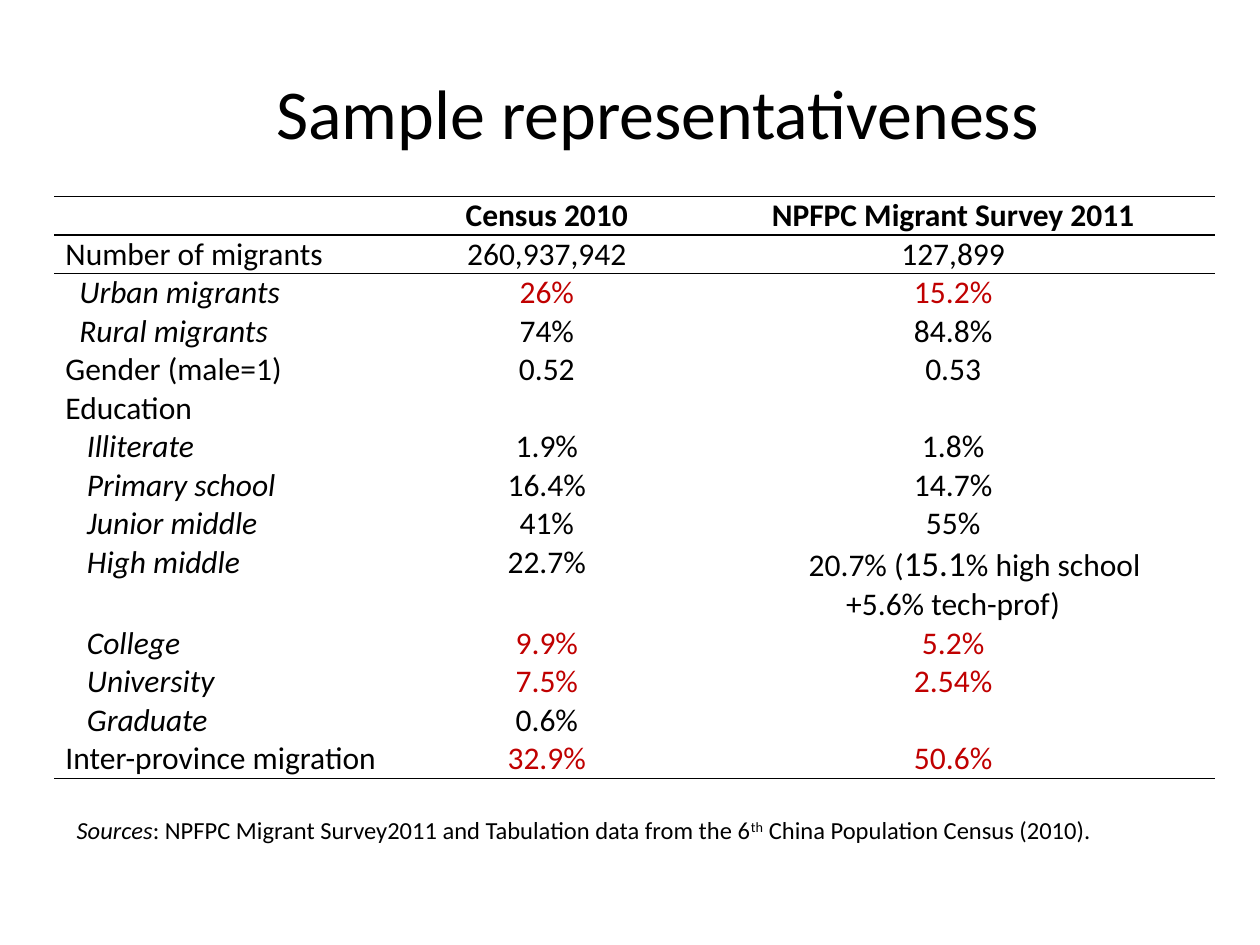
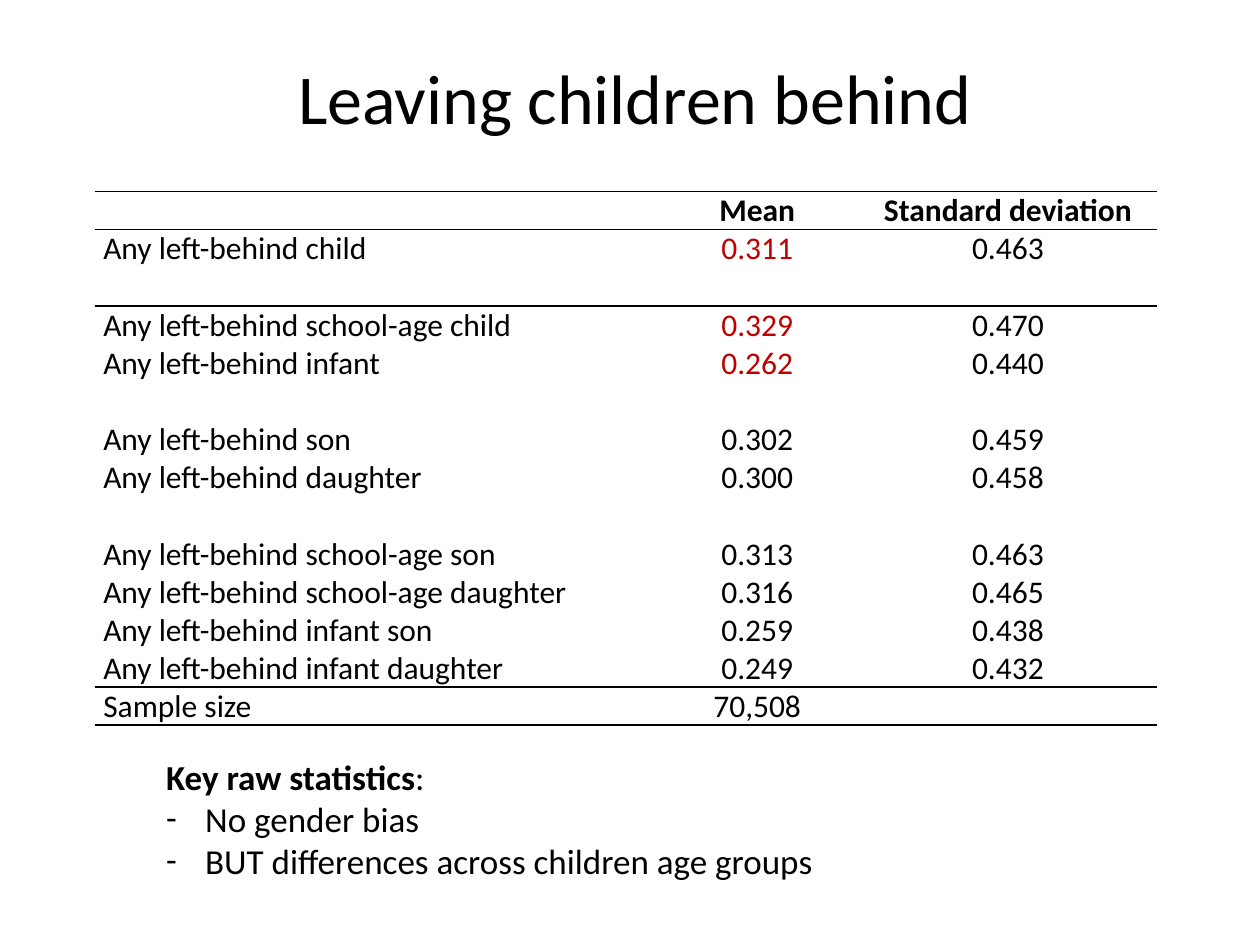
from pptx import Presentation
from pptx.dml.color import RGBColor
from pptx.enum.text import MSO_ANCHOR as Anchor, PP_ALIGN as Align
from pptx.oxml import parse_xml
from pptx.oxml.ns import nsdecls, qn
from pptx.util import Inches, Pt

FONT = "Calibri"
BLACK = RGBColor(0x00, 0x00, 0x00)
RED = RGBColor(0xC0, 0x00, 0x00)
WHITE = RGBColor(0xFF, 0xFF, 0xFF)
TITLE_SIZE, TABLE_SIZE, SOURCE_SIZE, NOTE_SIZE = 40, 18, 14, 20
PLAIN_TABLE_STYLE = "{2D5ABB26-0587-4C30-8999-92F81FD0307C}"
LINE_HEIGHT = 0.3  # least height of one table line; rows grow to fit the text
SPACED_ROW = 0.61  # a row followed by one empty line

# Each table row: label, label indent, values, are the values red
SAMPLE_ROWS = [
    ("Number of migrants", 0, ("260,937,942", "127,899"), False),
    ("Urban migrants", 0.11, ("26%", "15.2%"), True),
    ("Rural migrants", 0.11, ("74%", "84.8%"), False),
    ("Gender (male=1)", 0, ("0.52", "0.53"), False),
    ("Education", 0, ("", ""), False),
    ("Illiterate", 0.17, ("1.9%", "1.8%"), False),
    ("Primary school", 0.17, ("16.4%", "14.7%"), False),
    ("Junior middle", 0.17, ("41%", "55%"), False),
    ("High middle", 0.17, ("22.7%", ""), False),
    ("College", 0.17, ("9.9%", "5.2%"), True),
    ("University", 0.17, ("7.5%", "2.54%"), True),
    ("Graduate", 0.17, ("0.6%", ""), False),
    ("Inter-province migration", 0, ("32.9%", "50.6%"), True),
]
HIGH_MIDDLE_ROW = 9
HIGH_MIDDLE_SURVEY = [
    ([("20.7% (", {}), ("15.1", {"size": 20}), ("% high school", {})], 0.34),
    ([("+5.6% tech-prof)", {})], 0),
]
SAMPLE_SOURCE = [
    ("Sources", {"italic": True}),
    (": NPFPC Migrant Survey2011 and Tabulation data from the 6", {}),
    ("th", {"superscript": True}),
    (" China Population Census (2010).", {}),
]

# Each group is followed by an empty line
CHILD_GROUPS = [
    [("child", "0.311", "0.463")],
    [("school-age child", "0.329", "0.470"), ("infant", "0.262", "0.440")],
    [("son", "0.302", "0.459"), ("daughter", "0.300", "0.458")],
    [("school-age son", "0.313", "0.463"), ("school-age daughter", "0.316", "0.465"),
     ("infant son", "0.259", "0.438"), ("infant daughter", "0.249", "0.432")],
]
RED_MEANS = ("0.311", "0.329", "0.262")
KEY_STATISTICS = ["No gender bias", "BUT differences across children age groups"]


def add_run(paragraph, text, size, color=BLACK, bold=False, italic=False, superscript=False):
    run = paragraph.add_run()
    run.text = text
    font = run.font
    font.name, font.size, font.bold, font.italic = FONT, Pt(size), bold, italic
    font.color.rgb = color
    if superscript:
        run._r.get_or_add_rPr().set("baseline", "30000")


def indent(paragraph, left, first_line=0):
    properties = paragraph._p.get_or_add_pPr()
    properties.set("marL", str(Inches(left)))
    properties.set("indent", str(Inches(first_line)))
    return properties


def add_text_frame(slide, left, top, width, height):
    box = slide.shapes.add_textbox(*map(Inches, (left, top, width, height)))
    box.text_frame.word_wrap = True
    return box.text_frame


def add_title(slide, text, left, top, width, shift=0):
    frame = add_text_frame(slide, left, top, width, 0.77)
    frame.vertical_anchor = Anchor.MIDDLE
    paragraph = frame.paragraphs[0]
    paragraph.alignment = Align.CENTER
    if shift:
        indent(paragraph, shift)
    add_run(paragraph, text, TITLE_SIZE)


def add_ruled_table(slide, left, top, columns, heights, margin, ruled_rows):
    """Add a white table with a rule above its first row and below each ruled row."""
    shape = slide.shapes.add_table(len(heights), len(columns), Inches(left), Inches(top),
                                   Inches(sum(columns)), Inches(sum(heights)))
    table = shape.table
    table.first_row = table.horz_banding = False
    table._tbl.tblPr.find(qn("a:tableStyleId")).text = PLAIN_TABLE_STYLE
    for column, width in zip(table.columns, columns):
        column.width = Inches(width)
    for index, (row, height) in enumerate(zip(table.rows, heights)):
        row.height = Inches(height)
        for cell in row.cells:
            cell.margin_left = cell.margin_right = Inches(margin)
            cell.margin_top = cell.margin_bottom = 0
            if index == 0 or index - 1 in ruled_rows:
                add_rule(cell, "lnT")
            if index in ruled_rows:
                add_rule(cell, "lnB")
            cell.fill.solid()
            cell.fill.fore_color.rgb = WHITE
    return table


def add_rule(cell, side):
    cell._tc.get_or_add_tcPr().append(parse_xml(
        f'<a:{side} {nsdecls("a")} w="{Pt(1)}"><a:solidFill>'
        f'<a:srgbClr val="{BLACK}"/></a:solidFill></a:{side}>'))


def write_cell(cell, text, centred=True, left=0, **style):
    if not text:
        return
    paragraph = cell.text_frame.paragraphs[0]
    paragraph.alignment = Align.CENTER if centred else Align.LEFT
    if left:
        indent(paragraph, left)
    add_run(paragraph, text, TABLE_SIZE, **style)


def write_header(table, headings):
    for column, heading in enumerate(headings, 1):
        write_cell(table.cell(0, column), heading, bold=True)


def build_sample_slide(slide):
    row_count = len(SAMPLE_ROWS) + 1
    table = add_ruled_table(slide, 0.43, 1.56, (2.76, 2.3, 4.15), [LINE_HEIGHT] * row_count,
                            0.09, (0, row_count - 1))
    write_header(table, ("Census 2010", "NPFPC Migrant Survey 2011"))
    for row, (label, left, values, is_red) in enumerate(SAMPLE_ROWS, 1):
        write_cell(table.cell(row, 0), label, centred=False, left=left, italic=left > 0)
        for column, value in enumerate(values, 1):
            write_cell(table.cell(row, column), value, color=RED if is_red else BLACK)

    frame = table.cell(HIGH_MIDDLE_ROW, 2).text_frame
    for index, (runs, left) in enumerate(HIGH_MIDDLE_SURVEY):
        paragraph = frame.add_paragraph() if index else frame.paragraphs[0]
        paragraph.alignment = Align.CENTER
        indent(paragraph, left)
        for text, style in runs:
            add_run(paragraph, text, **{"size": TABLE_SIZE, **style})

    add_title(slide, "Sample representativeness", 1.23, 0.5, 7.16, shift=0.82)
    source = add_text_frame(slide, 0.51, 6.42, 8.32, 0.34).paragraphs[0]
    for text, style in SAMPLE_SOURCE:
        add_run(source, text, SOURCE_SIZE, **style)


def build_children_slide(slide):
    rows, heights = [], [LINE_HEIGHT]
    for group in CHILD_GROUPS:
        rows += [(f"Any left-behind {who}", mean, deviation) for who, mean, deviation in group]
        heights += [LINE_HEIGHT] * (len(group) - 1) + [SPACED_ROW]
    heights[-1] = LINE_HEIGHT
    rows.append(("Sample size", "70,508", ""))
    heights.append(LINE_HEIGHT)

    last = len(rows)
    table = add_ruled_table(slide, 0.75, 1.52, (4.45, 1.62, 2.36), heights, 0.07,
                            (0, last - 1, last))
    write_header(table, ("Mean", "Standard deviation"))
    for row, (label, mean, deviation) in enumerate(rows, 1):
        write_cell(table.cell(row, 0), label, centred=False)
        write_cell(table.cell(row, 1), mean, color=RED if mean in RED_MEANS else BLACK)
        write_cell(table.cell(row, 2), deviation)

    add_title(slide, "Leaving children behind", 0.51, 0.38, 9.06)
    frame = add_text_frame(slide, 1.22, 5.95, 7.09, 1.11)
    add_run(frame.paragraphs[0], "Key raw statistics", NOTE_SIZE, bold=True)
    add_run(frame.paragraphs[0], ":", NOTE_SIZE)
    for text in KEY_STATISTICS:
        paragraph = frame.add_paragraph()
        properties = indent(paragraph, 0.31, -0.31)
        properties.append(parse_xml(f'<a:buFont {nsdecls("a")} typeface="{FONT}"/>'))
        properties.append(parse_xml(f'<a:buChar {nsdecls("a")} char="-"/>'))
        add_run(paragraph, text, NOTE_SIZE)


def main():
    presentation = Presentation()
    presentation.slide_width, presentation.slide_height = Inches(10), Inches(7.5)
    blank = presentation.slide_layouts[6]
    for build in (build_sample_slide, build_children_slide):
        build(presentation.slides.add_slide(blank))
    presentation.save("out.pptx")


if __name__ == "__main__":
    main()
